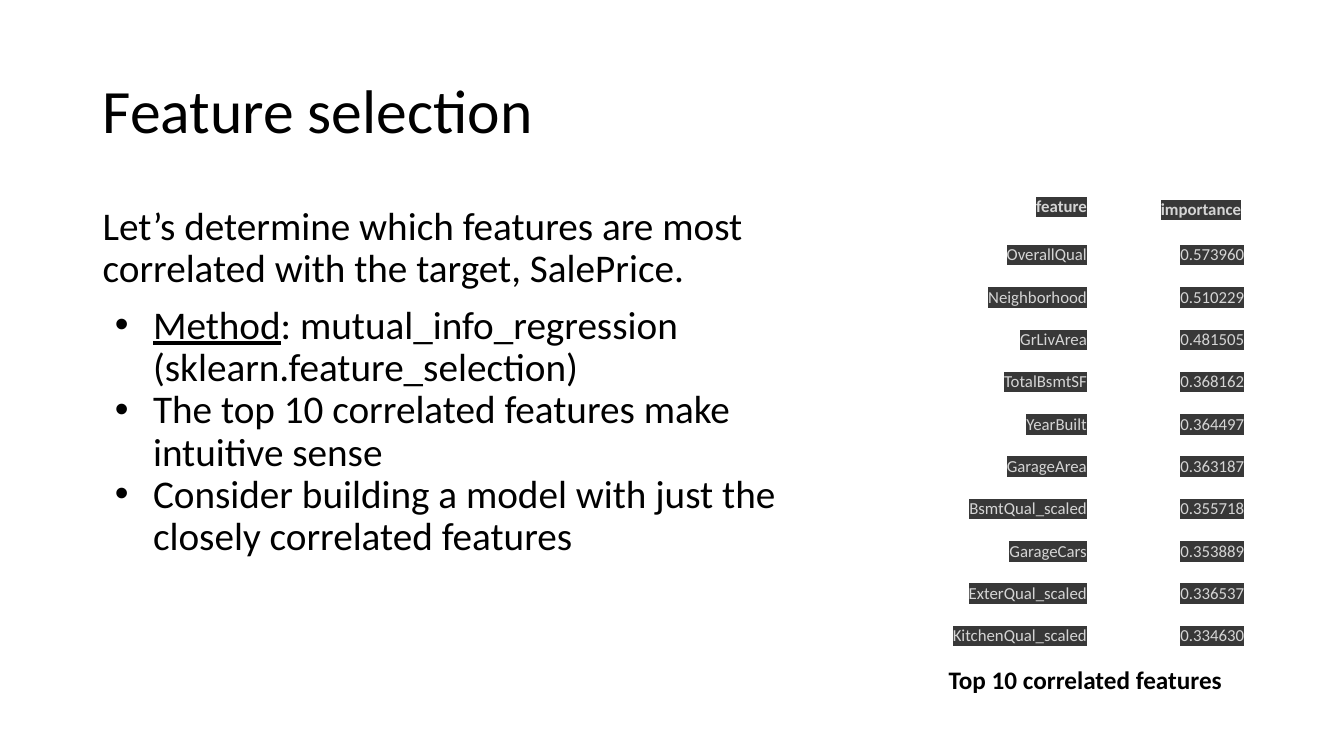
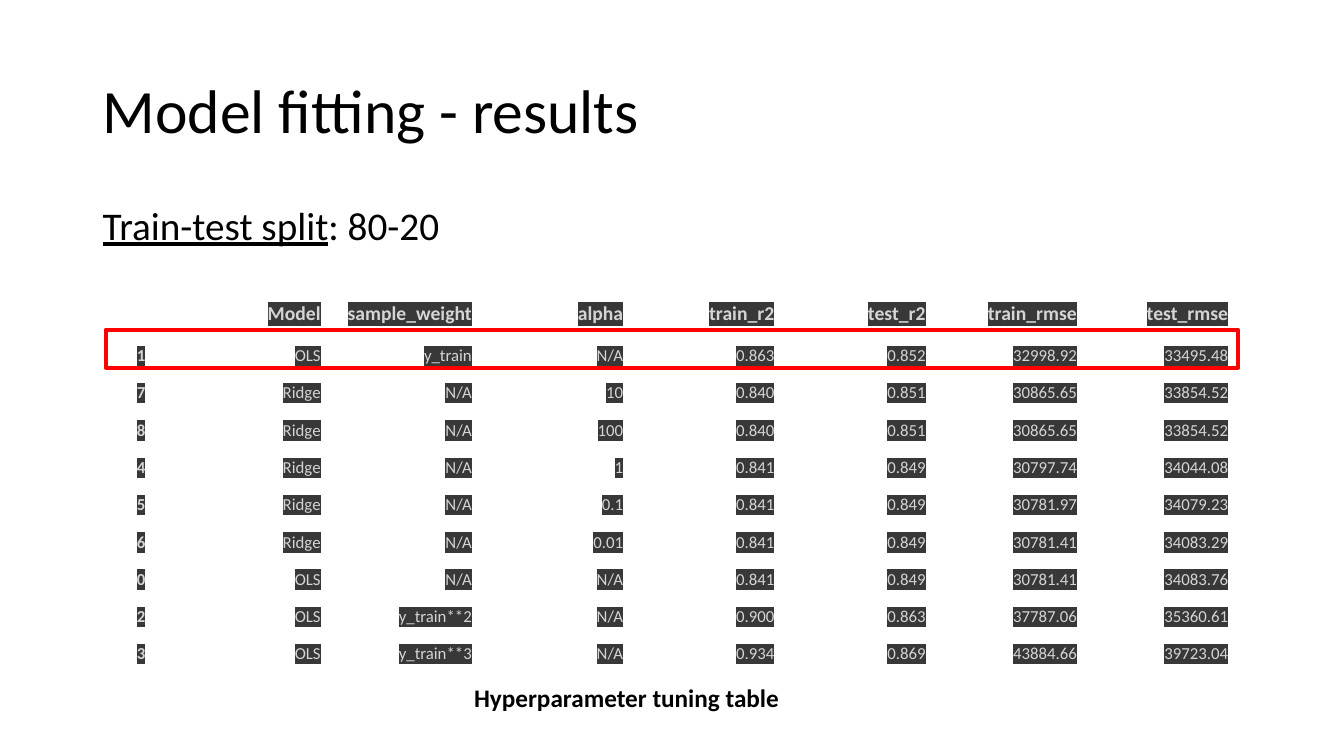
import pptx
import pptx.util
import pptx.dml.color
import pptx.enum.shapes
import pptx.enum.text
import pptx.oxml.ns
from lxml import etree

Inches = pptx.util.Inches
ALIGN = pptx.enum.text.PP_ALIGN
ANCHOR = pptx.enum.text.MSO_ANCHOR
FONT = "Calibri"
BLACK, PALE, DARK, RED = "000000", "D5D5D5", "383838", "FF0000"
LEFT, WIDE = 0.92, 11.5

RANKS = [
    ("feature", "importance"),
    ("OverallQual", "0.573960"),
    ("Neighborhood", "0.510229"),
    ("GrLivArea", "0.481505"),
    ("TotalBsmtSF", "0.368162"),
    ("YearBuilt", "0.364497"),
    ("GarageArea", "0.363187"),
    ("BsmtQual_scaled", "0.355718"),
    ("GarageCars", "0.353889"),
    ("ExterQual_scaled", "0.336537"),
    ("KitchenQual_scaled", "0.334630"),
]
SCORES = [
    ("", "Model", "sample_weight", "alpha", "train_r2", "test_r2", "train_rmse", "test_rmse"),
    ("1", "OLS", "y_train", "N/A", "0.863", "0.852", "32998.92", "33495.48"),
    ("7", "Ridge", "N/A", "10", "0.840", "0.851", "30865.65", "33854.52"),
    ("8", "Ridge", "N/A", "100", "0.840", "0.851", "30865.65", "33854.52"),
    ("4", "Ridge", "N/A", "1", "0.841", "0.849", "30797.74", "34044.08"),
    ("5", "Ridge", "N/A", "0.1", "0.841", "0.849", "30781.97", "34079.23"),
    ("6", "Ridge", "N/A", "0.01", "0.841", "0.849", "30781.41", "34083.29"),
    ("0", "OLS", "N/A", "N/A", "0.841", "0.849", "30781.41", "34083.76"),
    ("2", "OLS", "y_train**2", "N/A", "0.900", "0.863", "37787.06", "35360.61"),
    ("3", "OLS", "y_train**3", "N/A", "0.934", "0.869", "43884.66", "39723.04"),
]


def color(code):
    return pptx.dml.color.RGBColor.from_string(code)


def node(parent, tag, **attrs):
    return etree.SubElement(parent, pptx.oxml.ns.qn(tag), **attrs)


def add_run(para, text, size, tint=BLACK, bold=False, under=False, mark=None):
    run = para.add_run()
    run.text = text
    font = run.font
    font.size = pptx.util.Pt(size)
    font.bold = bold
    font.underline = under
    font.color.rgb = color(tint)
    if mark:
        node(node(font._element, "a:highlight"), "a:srgbClr", val=mark)
    font.name = FONT


def inset(item, side, edge):
    item.margin_left = item.margin_right = Inches(side)
    item.margin_top = item.margin_bottom = Inches(edge)


def add_box(slide, left, top, width, height, pad=0.05):
    box = slide.shapes.add_textbox(*map(Inches, (left, top, width, height)))
    frame = box.text_frame
    frame.word_wrap = True
    inset(frame, 0.1, pad)
    return frame


def add_title(slide, text):
    frame = add_box(slide, LEFT, 0.4, WIDE, 1.45)
    frame.vertical_anchor = ANCHOR.MIDDLE
    para = frame.paragraphs[0]
    para.line_spacing = 0.9
    add_run(para, text, 44)


def add_bullet(para):
    props = para._p.get_or_add_pPr()
    props.set("marL", str(Inches(0.5)))
    props.set("indent", str(Inches(-0.38)))
    node(node(props, "a:buClr"), "a:srgbClr", val=BLACK)
    node(props, "a:buFont", typeface="Arial")
    node(props, "a:buChar", char="•")


def add_body(slide, width, height, items):
    frame = add_box(slide, LEFT, 2, width, height)
    for num, (space, dot, runs) in enumerate(items):
        para = frame.add_paragraph() if num else frame.paragraphs[0]
        para.line_spacing = 0.9
        para.space_before = pptx.util.Pt(space)
        if dot:
            add_bullet(para)
        for text, under in runs:
            add_run(para, text, 28, under=under)


def add_label(slide, left, top, width, text):
    para = add_box(slide, left, top, width, 0.54, 0.1).paragraphs[0]
    para.alignment = ALIGN.CENTER
    add_run(para, text, 18, bold=True)


def fill_cell(cell, text, size, bold, center):
    cell.fill.background()
    inset(cell, 0.07, 0.07)
    if not text:
        return
    para = cell.text_frame.paragraphs[0]
    para.line_spacing = 1.15
    para.alignment = ALIGN.CENTER if center else ALIGN.RIGHT
    if center:
        cell.vertical_anchor = ANCHOR.MIDDLE
    add_run(para, text, size, PALE, bold, mark=DARK)


def add_grid(slide, left, top, cols, head, row, data, size, keyed=False):
    high = head + row * (len(data) - 1)
    place = map(Inches, (left, top, sum(cols), high))
    table = slide.shapes.add_table(len(data), len(cols), *place).table
    table.first_row = table.horz_banding = False
    for col, width in zip(table.columns, cols):
        col.width = Inches(width)
    for r, line in enumerate(data):
        table.rows[r].height = Inches(row if r else head)
        for c, text in enumerate(line):
            key = keyed and c == 0
            fill_cell(table.cell(r, c), text, 12 if r else size, key or r == 0, key)
    return table


def add_frame(slide, left, top, width, height):
    kind = pptx.enum.shapes.MSO_SHAPE.RECTANGLE
    shape = slide.shapes.add_shape(kind, *map(Inches, (left, top, width, height)))
    shape.shadow.inherit = False
    shape.fill.background()
    shape.line.color.rgb = color(RED)
    shape.line.width = pptx.util.Pt(3)


def add_slide(deck, title):
    slide = deck.slides.add_slide(deck.slide_layouts[6])
    add_title(slide, title)
    return slide


def main():
    deck = pptx.Presentation()
    deck.slide_width, deck.slide_height = Inches(13.33), Inches(7.5)

    slide = add_slide(deck, "Feature selection")
    add_body(slide, 7.76, 4.76, [
        (10, False, [("Let’s determine which features are most correlated with the target, SalePrice.", False)]),
        (10, True, [("Method", True), (": mutual_info_regression (sklearn.feature_selection)", False)]),
        (0, True, [("The top 10 correlated features make intuitive sense", False)]),
        (0, True, [("Consider building a model with just the closely correlated features", False)]),
    ])
    table = add_grid(slide, 9.11, 1.85, [1.74, 1.56], 0.48, 0.42, RANKS, 12)
    inset(table.cell(0, 1), 0.1, 0.1)
    add_label(slide, 9.11, 6.49, 3.31, "Top 10 correlated features")

    slide = add_slide(deck, "Model fitting - results")
    add_body(slide, WIDE, 0.75, [(10, False, [("Train-test split", True), (": 80-20", False)])])
    add_label(slide, 4.04, 6.67, 4.35, "Hyperparameter tuning table")
    add_grid(slide, 1.05, 2.89, [0.7] + [1.5] * 7, 0.34, 0.33, SCORES, 14, True)
    add_frame(slide, 1.05, 3.27, 11.23, 0.38)

    deck.save("out.pptx")


if __name__ == "__main__":
    main()
